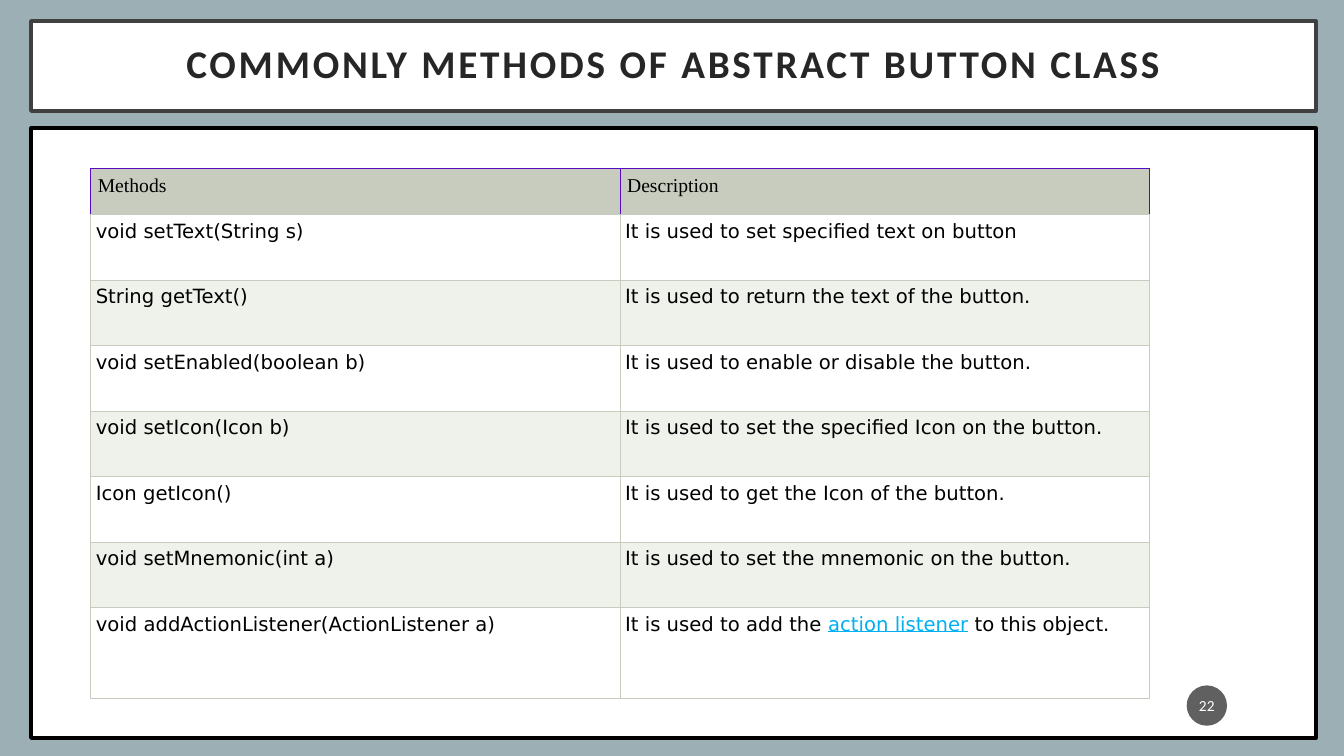
import pptx
import pptx.dml.color
import pptx.enum.shapes
import pptx.enum.text
import pptx.oxml
import pptx.oxml.ns
import pptx.util
from pptx.util import Inches

SHAPE = pptx.enum.shapes.MSO_SHAPE
CENTER = pptx.enum.text.PP_ALIGN.CENTER
MIDDLE = pptx.enum.text.MSO_ANCHOR.MIDDLE

SAGE, PALE_SAGE, WHITE, BLACK = "C7CCBE", "EFF1EB", "FFFFFF", "000000"
VIOLET, LINK_BLUE = "5809C4", "00B0F0"

HEADINGS = ("Methods", "Description")
METHODS = [
    ("void setText(String s)", "It is used to set specified text on button"),
    ("String getText()", "It is used to return the text of the button."),
    ("void setEnabled(boolean b)", "It is used to enable or disable the button."),
    ("void setIcon(Icon b)", "It is used to set the specified Icon on the button."),
    ("Icon getIcon()", "It is used to get the Icon of the button."),
    ("void setMnemonic(int a)", "It is used to set the mnemonic on the button."),
    ("void addActionListener(ActionListener a)",
     ("It is used to add the ", "action listener", " to this object.")),
]


def rgb(value):
    return pptx.dml.color.RGBColor.from_string(value)


def add_run(paragraph, text, size, font_name, color):
    run = paragraph.add_run()
    run.text = text
    run.font.size = pptx.util.Pt(size)
    run.font.name = font_name
    run.font.color.rgb = rgb(color)
    return run


def add_panel(slide, kind, box, fill, outline=None):
    """Add a flat shape; without an outline colour it has no line."""
    panel = slide.shapes.add_shape(kind, *[Inches(length) for length in box])
    panel.shadow.inherit = False
    panel.fill.solid()
    panel.fill.fore_color.rgb = rgb(fill)
    if outline:
        panel.line.color.rgb = rgb(outline)
        panel.line.width = pptx.util.Pt(3)
    else:
        panel.line.fill.background()
    return panel


def center_text(panel, margin_x, margin_y):
    """Centre the panel's text both ways and return its first paragraph."""
    frame = panel.text_frame
    frame.word_wrap = True
    frame.vertical_anchor = MIDDLE
    frame.margin_left = frame.margin_right = Inches(margin_x)
    frame.margin_top = frame.margin_bottom = Inches(margin_y)
    paragraph = frame.paragraphs[0]
    paragraph.alignment = CENTER
    return paragraph


def add_title(slide):
    banner = add_panel(slide, SHAPE.RECTANGLE, (0.31, 0.21, 12.74, 0.89), WHITE, "404040")
    paragraph = center_text(banner, 0.3, 0.2)
    paragraph.line_spacing = 0.9
    title = add_run(paragraph, "COMMONLY METHODS OF ABSTRACT BUTTON CLASS",
                    28, "Calibri", "262626")
    title.font.bold = True
    title.font._element.set("spc", "200")


def add_page_number(slide):
    badge = add_panel(slide, SHAPE.OVAL, (11.77, 6.8, 0.4, 0.4), "1D1D1D")
    fill_color = badge._element.spPr.find(".//" + pptx.oxml.ns.qn("a:srgbClr"))
    fill_color.append(pptx.oxml.parse_xml(
        f'<a:alpha {pptx.oxml.ns.nsdecls("a")} val="70000"/>'))
    add_run(center_text(badge, 0.02, 0.05), "22", 11, "Calibri", WHITE)


def style_cell(cell, fill, margin, edge):
    """Set fill, margins and borders; edge colours all sides but the bottom."""
    cell.margin_left = cell.margin_right = Inches(margin)
    cell.margin_top = cell.margin_bottom = Inches(margin)
    properties = cell._tc.get_or_add_tcPr()
    for side, color in zip("LRTB", (edge, edge, edge, SAGE)):
        properties.append(pptx.oxml.parse_xml(
            f'<a:ln{side} {pptx.oxml.ns.nsdecls("a")} w="9525"><a:solidFill>'
            f'<a:srgbClr val="{color}"/></a:solidFill></a:ln{side}>'))
    cell.fill.solid()
    cell.fill.fore_color.rgb = rgb(fill)


def add_methods_table(slide):
    heights = [0.46] + [0.65] * 6 + [0.9]
    table = slide.shapes.add_table(len(heights), 2, Inches(0.9), Inches(1.67),
                                   Inches(10.5), Inches(sum(heights))).table
    table.first_row = table.horz_banding = False
    for row, height in zip(table.rows, heights):
        row.height = Inches(height)

    for cell, heading in zip(table.rows[0].cells, HEADINGS):
        style_cell(cell, SAGE, 0.07, VIOLET)
        add_run(cell.text_frame.paragraphs[0], heading, 14, "Times New Roman", BLACK)

    for index, entry in enumerate(METHODS, start=1):
        for cell, content in zip(table.rows[index].cells, entry):
            style_cell(cell, WHITE if index % 2 else PALE_SAGE, 0.05, SAGE)
            parts = (content,) if isinstance(content, str) else content
            for position, part in enumerate(parts):
                is_term = position == 1
                run = add_run(cell.text_frame.paragraphs[0], part, 14, "DejaVu Sans",
                              LINK_BLUE if is_term else BLACK)
                run.font.underline = is_term


def main():
    deck = pptx.Presentation()
    deck.slide_width, deck.slide_height = Inches(13.33), Inches(7.5)
    slide = deck.slides.add_slide(deck.slide_layouts[6])
    slide.background.fill.solid()
    slide.background.fill.fore_color.rgb = rgb("9BAFB5")
    add_title(slide)
    add_panel(slide, SHAPE.RECTANGLE, (0.31, 1.27, 12.74, 6.05), WHITE, BLACK)
    add_page_number(slide)
    add_methods_table(slide)
    deck.save("out.pptx")


if __name__ == "__main__":
    main()
